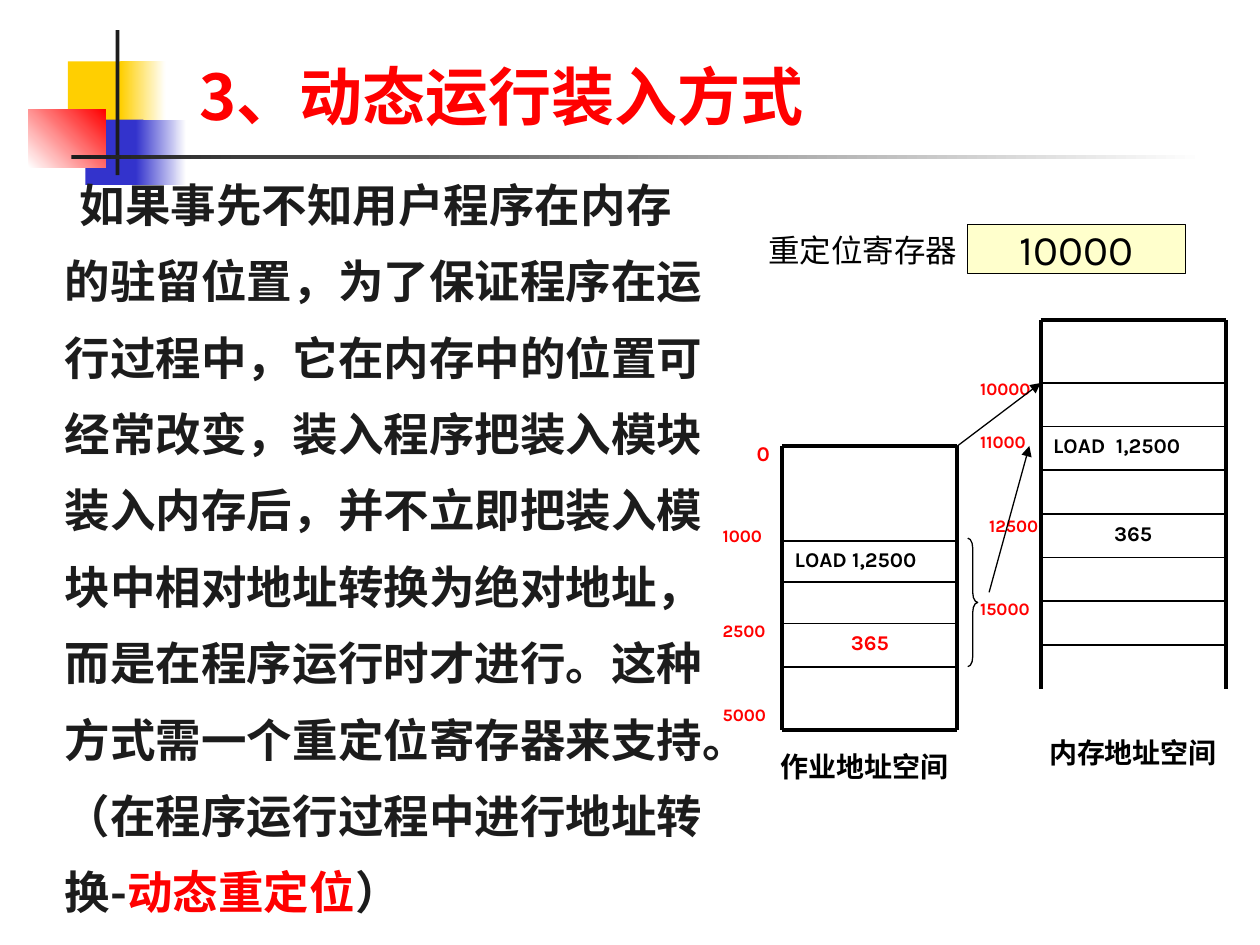
from lxml import etree
from pptx import Presentation
from pptx.dml.color import RGBColor
from pptx.enum.shapes import MSO_CONNECTOR, MSO_SHAPE
from pptx.enum.text import MSO_ANCHOR as Anchor, MSO_AUTO_SIZE as AutoSize, PP_ALIGN as Align
from pptx.oxml.ns import qn
from pptx.util import Cm, Pt

BLACK, RED, INK = "000000", "FF0000", "1C1C1C"
LATIN, CHINESE = "Karla", "Noto Sans CJK SC"
BODY = ("如果事先不知用户程序在内存的驻留位置，为了保证程序在运行过程中，它在内存中的位置可经常改变，"
        "装入程序把装入模块装入内存后，并不立即把装入模块中相对地址转换为绝对地址，而是在程序运行时才进行。"
        "这种方式需一个重定位寄存器来支持。（在程序运行过程中进行地址转换-")


def color(value):
    """Turn a hex string into a colour."""
    return RGBColor.from_string(value)


def format_run(run, size, hex_color, bold=True, font=LATIN):
    """Set the Latin and Chinese fonts, size and colour of a run."""
    run.font.name, run.font.size, run.font.bold = font, Pt(size), bold
    run.font.color.rgb = color(hex_color)
    east_asian = etree.SubElement(run.font._element, qn("a:ea"))
    east_asian.set("typeface", CHINESE)


def add_text(slide, text, left, top, width, height, size, hex_color=BLACK,
             bold=True, align=Align.LEFT, wrap=True):
    """Add a text box with one formatted run."""
    frame = slide.shapes.add_textbox(Cm(left), Cm(top), Cm(width), Cm(height)).text_frame
    frame.word_wrap = wrap
    frame.text = text
    paragraph = frame.paragraphs[0]
    paragraph.alignment = align
    format_run(paragraph.runs[0], size, hex_color, bold)


def add_line(slide, start, end, weight, arrow=False):
    """Draw a black line between two points, optionally with an arrowhead."""
    line = slide.shapes.add_connector(MSO_CONNECTOR.STRAIGHT, *map(Cm, (*start, *end)))
    line.line.color.rgb = color(BLACK)
    line.line.width = Pt(weight)
    if arrow:
        etree.SubElement(line.line._get_or_add_ln(), qn("a:tailEnd")).set("type", "triangle")
    etree.SubElement(line._element.spPr, qn("a:effectLst"))


def add_bar(slide, left, top, width, height, start, end=None, angle=0):
    """Add a borderless rectangle with a solid or gradient fill."""
    bar = slide.shapes.add_shape(MSO_SHAPE.RECTANGLE, Cm(left), Cm(top), Cm(width), Cm(height))
    bar.shadow.inherit = False
    bar.line.fill.background()
    if end is None:
        bar.fill.solid()
        bar.fill.fore_color.rgb = color(start)
        return
    bar.fill.gradient()
    bar.fill.gradient_angle = angle
    for stop, value in zip(bar.fill.gradient_stops, (start, end)):
        stop.color.rgb = color(value)


def add_decoration(slide, left, top):
    """Draw the coloured squares and the rules beside the title."""
    for x, y, width, height, *fill in (
        (0.79, 0.63, 1.22, 1.32, "FFCF01"),
        (1.85, 0.63, 0.91, 1.32, "FFCF01", "FFFFFF"),
        (1.14, 1.8, 1.17, 1.32, "3333CC"),
        (2.16, 1.8, 1.02, 1.32, "3333CC", "FFFFFF"),
        (0, 1.6, 1.55, 1.17, "FFFFFF", RED, 45),
        (1.75, 0, 0.08, 2.92, INK),
        (0.86, 2.51, 22.86, 0.08, INK, "FFFFFF"),
    ):
        add_bar(slide, left + x, top + y, width, height, *fill)


def add_title(slide, left, top, width, height):
    """Place and format the title."""
    title = slide.shapes.title
    title.left, title.top, title.width, title.height = map(Cm, (left, top, width, height))
    frame = title.text_frame
    frame.text = "3、动态运行装入方式"
    frame.auto_size = AutoSize.NONE
    frame.vertical_anchor = Anchor.BOTTOM
    frame.paragraphs[0].alignment = Align.LEFT
    format_run(frame.paragraphs[0].runs[0], 36, RED, font=CHINESE)


def add_body(slide, left, top, width, height):
    """Add the explanation with its highlighted term."""
    frame = slide.shapes.add_textbox(Cm(left), Cm(top), Cm(width), Cm(height)).text_frame
    frame.word_wrap = True
    paragraph = frame.paragraphs[0]
    paragraph.line_spacing = 1.4
    properties = paragraph._p.get_or_add_pPr()
    properties.set("marL", str(Cm(0.96)))
    properties.set("indent", str(Cm(0.3)))
    for text, hex_color in ((BODY, INK), ("动态重定位", RED), ("）", INK)):
        run = paragraph.add_run()
        run.text = text
        format_run(run, 26, hex_color, font=CHINESE)


def add_register(slide, left, top):
    """Add the relocation register and its label."""
    add_text(slide, "重定位寄存器", left, top + 0.02, 4.32, 1.02, 18, bold=False, wrap=False)
    box = slide.shapes.add_shape(MSO_SHAPE.RECTANGLE, Cm(left + 4.27), Cm(top), Cm(4.39), Cm(1))
    box.shadow.inherit = False
    box.fill.solid()
    box.fill.fore_color.rgb = color("FFFFCC")
    box.line.color.rgb = color(BLACK)
    box.line.width = Pt(0.75)
    frame = box.text_frame
    frame.word_wrap = False
    frame.vertical_anchor = Anchor.MIDDLE
    frame.text = "10000"
    frame.paragraphs[0].alignment = Align.CENTER
    format_run(frame.paragraphs[0].runs[0], 24, BLACK, bold=False)


def add_address_space(slide, left, top, width, height, rows, closed, cells, labels, label_width, caption):
    """Draw an address space with its rows, cell texts, addresses and caption."""
    right, bottom = left + width, top + height
    for text, row, hex_color, align in cells:
        add_text(slide, text, left, top + rows[row], width, 0.86, 12, hex_color, align=align)
    for row in rows:
        add_line(slide, (left, top + row), (right, top + row), 1)
    for y in (top, bottom) if closed else (top,):
        add_line(slide, (left, y), (right, y), 2.25)
    for x in (left, right):
        add_line(slide, (x, top), (x, bottom), 2.25)
    for text, x, y, size, align in labels:
        add_text(slide, text, left + x, top + y, label_width, 1.2, size, RED, align=align)
    text, x, y = caption
    add_text(slide, text, left + x, top + y, 4.1, 0.94, 16)


def add_brace(slide, left, top, width, height):
    """Add the brace that spans the mapped rows."""
    brace = slide.shapes.add_shape(MSO_SHAPE.RIGHT_BRACE, Cm(left), Cm(top), Cm(width), Cm(height))
    brace.shadow.inherit = False
    brace.adjustments[0] = 1
    brace.fill.background()
    brace.line.color.rgb = color(BLACK)
    brace.line.width = Pt(0.75)


def add_mapping(slide, left, top):
    """Draw the job space, the memory space and the mapping between them."""
    memory_left, memory_top = left + 5.21, top - 2.54
    add_address_space(
        slide, left, top, 3.53, 5.72, (1.91, 2.74, 3.58, 4.45), True,
        (("365", 2, RED, Align.CENTER), ("LOAD 1,2500", 0, BLACK, Align.LEFT)),
        (("0", -1.45, -0.23, 12, Align.RIGHT), ("1000", -1.45, 1.47, 10, Align.LEFT),
         ("2500", -1.45, 3.38, 10, Align.LEFT), ("5000", -1.45, 5.08, 10, Align.LEFT)),
        1.45, ("作业地址空间", -0.28, 5.99))
    add_address_space(
        slide, memory_left, memory_top, 3.73, 7.44, [1.27 + 0.88 * row for row in range(7)], False,
        (("365", 3, BLACK, Align.CENTER), ("LOAD  1,2500", 1, BLACK, Align.LEFT)),
        (("10000", -1.47, 1.04, 10, Align.LEFT), ("11000", -1.47, 2.11, 10, Align.LEFT),
         ("12500", -1.47, 3.81, 10, Align.CENTER), ("15000", -1.47, 5.49, 10, Align.LEFT)),
        1.85, ("内存地址空间", -0.08, 8.26))
    add_line(slide, (left + 3.53, top), (memory_left, memory_top + 1.27), 0.75, arrow=True)
    add_line(slide, (left + 4.17, top + 2.95), (left + 4.98, top), 0.75, arrow=True)
    add_brace(slide, left + 3.74, top + 1.86, 0.2, 2.59)


def main():
    """Build and save the slide."""
    presentation = Presentation()
    presentation.slide_width, presentation.slide_height = Cm(25.4), Cm(19.05)
    slide = presentation.slides.add_slide(presentation.slide_layouts[5])
    add_decoration(slide, 0.58, 0.61)
    add_title(slide, 3.76, 0.71, 21.64, 2.11)
    add_body(slide, 0.1, 3, 14.6, 16.13)
    add_register(slide, 15.24, 4.52)
    add_mapping(slide, 15.77, 8.99)
    presentation.save("out.pptx")


if __name__ == "__main__":
    main()
